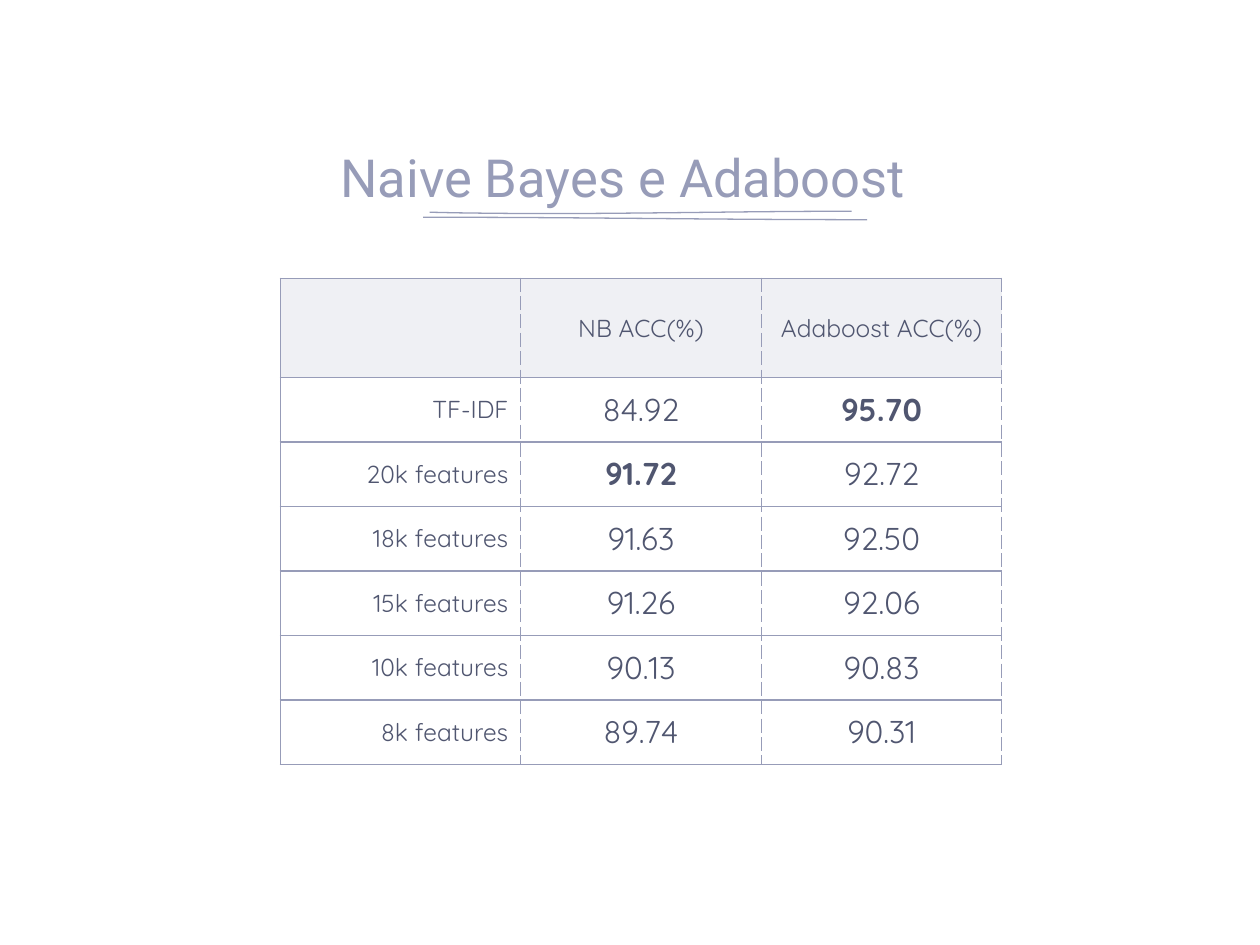
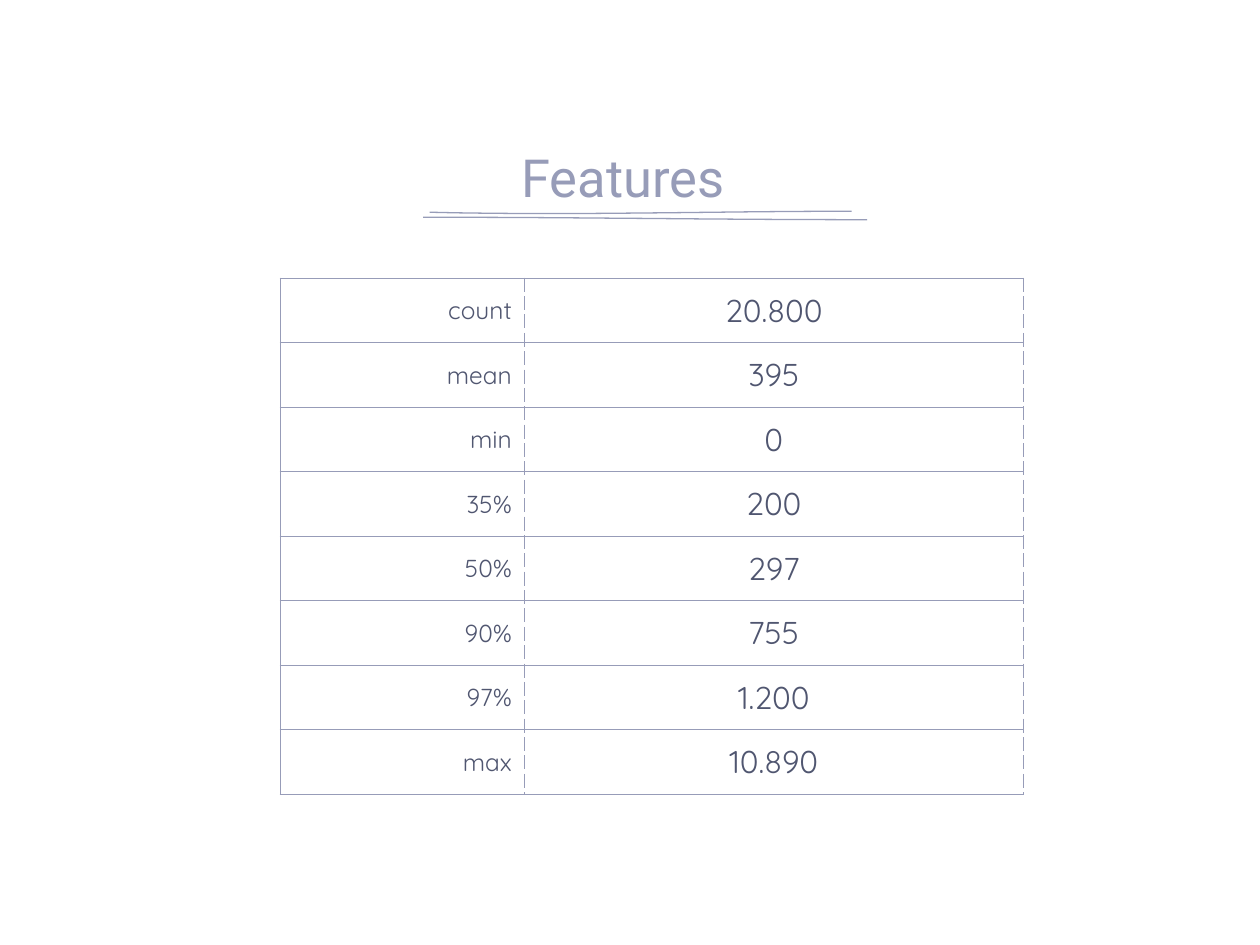
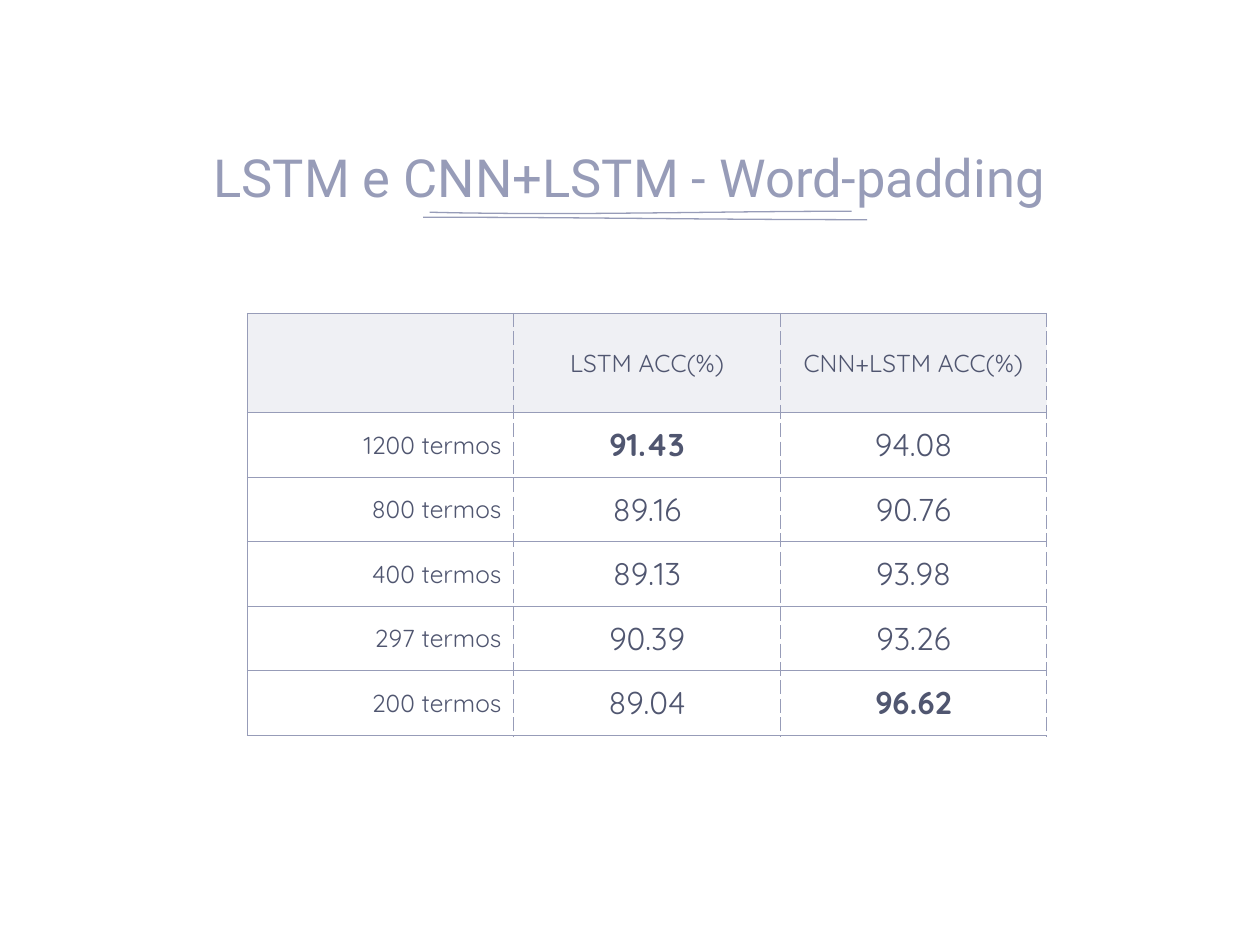
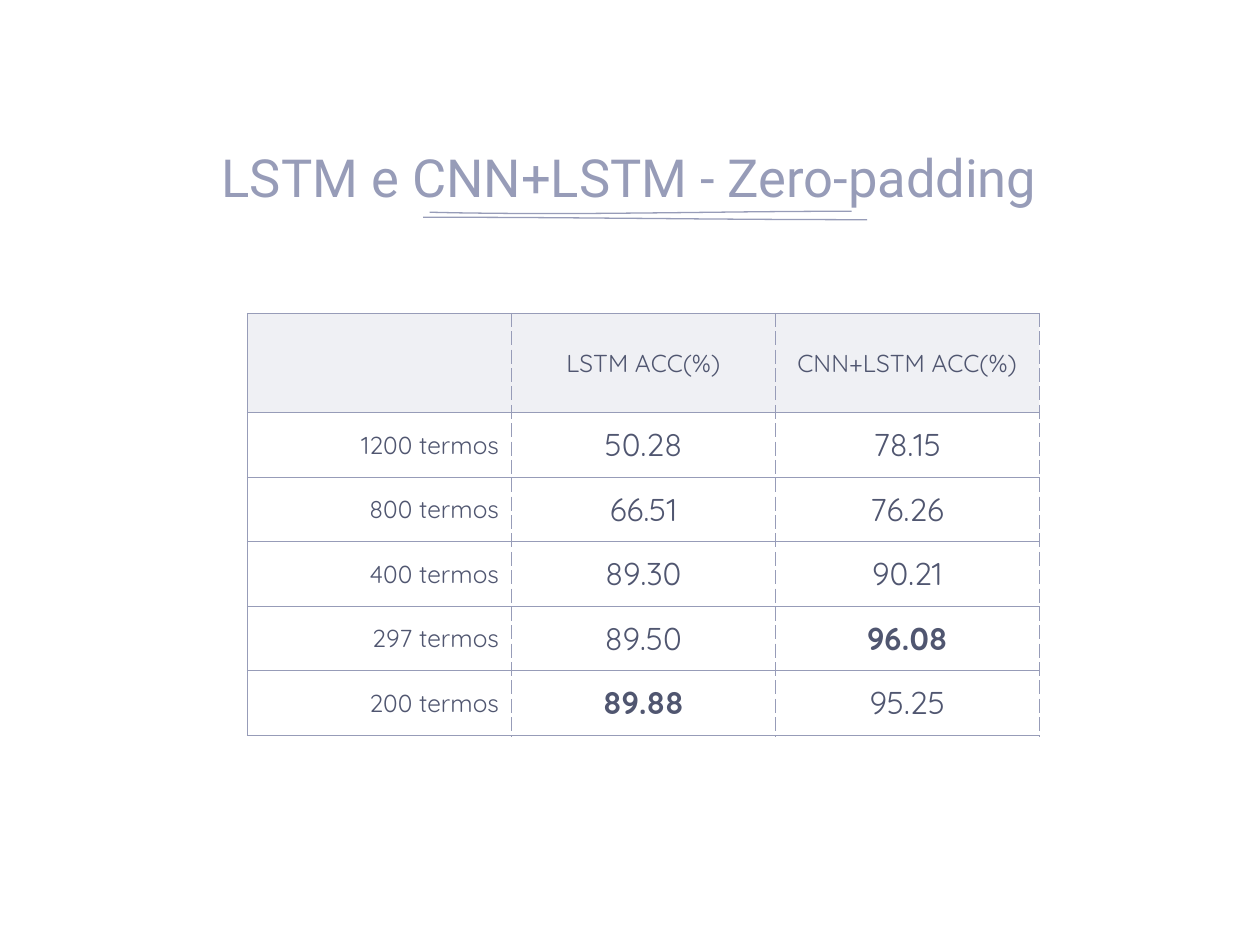
import pptx
import pptx.dml.color
import pptx.enum.text
import pptx.oxml
import pptx.oxml.ns
import pptx.util
from pptx.util import Cm

COLORS = {"accent": "979CB8", "text": "505670"}
TITLE_FONT, TABLE_FONT = "Roboto", "Quicksand"
HEADER_HEIGHT, ROW_HEIGHT, MARGIN = Cm(2), Cm(1.3), Cm(0.25)
ACCENT = pptx.dml.color.RGBColor.from_string(COLORS["accent"])
ALIGN = pptx.enum.text.PP_ALIGN
ANCHOR = pptx.enum.text.MSO_ANCHOR

# Hand-drawn strokes under every title: four Bézier points each, in cm
STROKES = [
    [(8.66, 4.28), (11.5, 4.35), (14.33, 4.26), (17.17, 4.26)],
    [(8.53, 4.38), (11.51, 4.38), (14.5, 4.43), (17.48, 4.43)],
]
STROKE_STEPS = 16

# Each table: title, left and top, column widths (cm), header, rows, best values
SLIDES = [
    ("Naive Bayes e Adaboost ", (5.65, 5.61), [4.85] * 3,
     ["", "NB ACC(%)", "Adaboost ACC(%)"],
     [["TF-IDF", "84.92", "95.70"],
      ["20k features", "91.72", "92.72"],
      ["18k features", "91.63", "92.50"],
      ["15k features", "91.26", "92.06"],
      ["10k features", "90.13", "90.83"],
      ["8k features", "89.74", "90.31"]],
     {"95.70", "91.72"}),
    ("Features ", (5.65, 5.61), [4.92, 10.06], None,
     [["count", "20.800"], ["mean", "395"], ["min", "0"], ["35%", "200"],
      ["50%", "297"], ["90%", "755"], ["97%", "1.200"], ["max", "10.890"]],
     set()),
    ("LSTM e CNN+LSTM - Word-padding", (4.99, 6.32), [5.37] * 3,
     ["", "LSTM ACC(%)", "CNN+LSTM ACC(%)"],
     [["1200 termos", "91.43", "94.08"],
      ["800 termos", "89.16", "90.76"],
      ["400 termos", "89.13", "93.98"],
      ["297 termos", "90.39", "93.26"],
      ["200 termos", "89.04", "96.62"]],
     {"91.43", "96.62"}),
    ("LSTM e CNN+LSTM - Zero-padding", (4.99, 6.32), [5.32] * 3,
     ["", "LSTM ACC(%)", "CNN+LSTM ACC(%)"],
     [["1200 termos", "50.28", "78.15"],
      ["800 termos", "66.51", "76.26"],
      ["400 termos", "89.30", "90.21"],
      ["297 termos", "89.50", "96.08"],
      ["200 termos", "89.88", "95.25"]],
     {"96.08", "89.88"}),
]


def style_text(paragraph, font_name, size, color, align, bold=False):
    paragraph.alignment = align
    paragraph.font.name = font_name
    paragraph.font.size = pptx.util.Pt(size)
    paragraph.font.bold = bold
    paragraph.font.color.rgb = pptx.dml.color.RGBColor.from_string(COLORS[color])


def style_cell(cell, is_header, is_label):
    cell.vertical_anchor = ANCHOR.MIDDLE
    cell.margin_left = cell.margin_right = MARGIN
    cell.margin_top = cell.margin_bottom = MARGIN
    properties = cell._tc.get_or_add_tcPr()
    if is_header:
        cell.fill.solid()
        cell.fill.fore_color.rgb = ACCENT
        tint = properties.find(".//" + pptx.oxml.ns.qn("a:srgbClr"))
        tint.append(pptx.oxml.parse_xml(
            f'<a:alpha {pptx.oxml.ns.nsdecls("a")} val="15000"/>'))
    else:
        cell.fill.background()
    # Inner and right-hand verticals are dashed, all other borders solid
    dashes = {"L": "solid" if is_label else "dash", "R": "dash",
              "T": "solid", "B": "solid"}
    for position, (side, dash) in enumerate(dashes.items()):
        properties.insert(position, pptx.oxml.parse_xml(
            f'<a:ln{side} {pptx.oxml.ns.nsdecls("a")} w="9525">'
            f'<a:solidFill><a:srgbClr val="{COLORS["accent"]}"/></a:solidFill>'
            f'<a:prstDash val="{dash}"/></a:ln{side}>'))


prs = pptx.Presentation()
prs.slide_width, prs.slide_height = Cm(25.4), Cm(19.05)

for title, (left, top), widths, header, rows, best in SLIDES:
    slide = prs.slides.add_slide(prs.slide_layouts[6])

    # Title underline
    for p0, p1, p2, p3 in STROKES:
        curve = []
        for step in range(STROKE_STEPS + 1):
            t = step / STROKE_STEPS
            curve.append(tuple(
                Cm((1 - t) ** 3 * a + 3 * t * (1 - t) ** 2 * b
                   + 3 * t ** 2 * (1 - t) * c + t ** 3 * d)
                for a, b, c, d in zip(p0, p1, p2, p3)))
        builder = slide.shapes.build_freeform(*curve[0])
        builder.add_line_segments(curve[1:], close=False)
        stroke = builder.convert_to_shape()
        stroke.shadow.inherit = False
        stroke.fill.background()
        stroke.line.color.rgb = ACCENT
        stroke.line.width = pptx.util.Pt(0.75)

    # Title
    heading = slide.shapes.add_textbox(Cm(2.85), Cm(1.9), Cm(19.68), Cm(2.54)).text_frame
    heading.word_wrap = True
    heading.vertical_anchor = ANCHOR.BOTTOM
    heading.margin_left = heading.margin_right = MARGIN
    heading.margin_top = heading.margin_bottom = MARGIN
    heading.text = title
    style_text(heading.paragraphs[0], TITLE_FONT, 30, "accent", ALIGN.CENTER)

    # Results table
    lines = ([header] if header else []) + rows
    heights = ([HEADER_HEIGHT] if header else []) + [ROW_HEIGHT] * len(rows)
    results = slide.shapes.add_table(
        len(lines), len(widths), Cm(left), Cm(top), Cm(sum(widths)), sum(heights)).table
    results.first_row = results.horz_banding = False
    for column, width in zip(results.columns, widths):
        column.width = Cm(width)
    for r, line in enumerate(lines):
        results.rows[r].height = heights[r]
        is_header = line is header
        for c, value in enumerate(line):
            cell = results.cell(r, c)
            cell.text = value
            is_label = c == 0
            style_cell(cell, is_header, is_label)
            style_text(cell.text_frame.paragraphs[0], TABLE_FONT,
                       14 if is_header or is_label else 18, "text",
                       ALIGN.RIGHT if is_label else ALIGN.CENTER, value in best)

prs.save("out.pptx")
